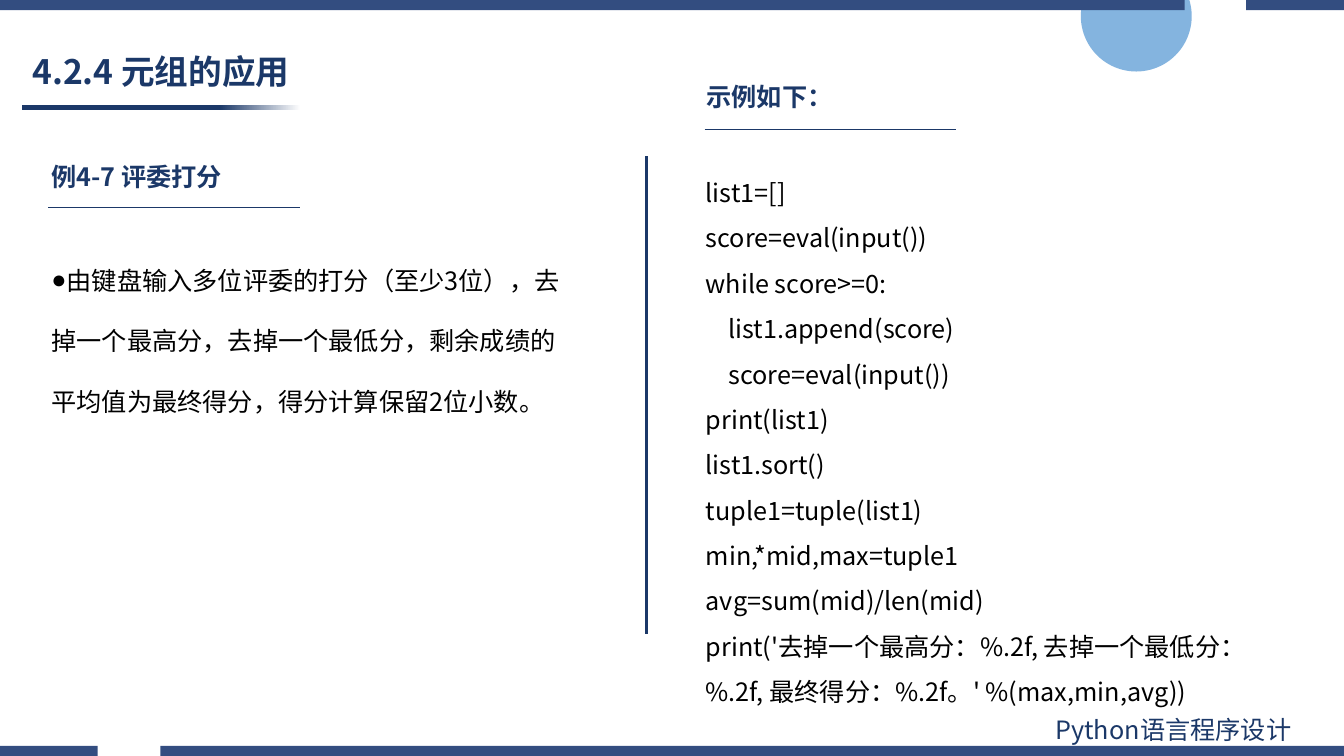
from lxml.etree import SubElement
from pptx import Presentation
from pptx.dml.color import RGBColor
from pptx.enum.shapes import MSO_CONNECTOR, MSO_SHAPE
from pptx.enum.text import MSO_ANCHOR, MSO_AUTO_SIZE, PP_ALIGN
from pptx.oxml.ns import qn
from pptx.util import Inches, Pt

COLORS = {"navy": "1B3868", "bar": "334D80", "sky": "5B9BD5", "black": "000000", "white": "FFFFFF"}
FONT = "Noto Sans CJK SC"
HEADING = {"name": FONT, "size": Pt(18), "bold": True}
PLAIN = {"name": FONT, "size": Pt(18), "bold": False}
TITLE = {"name": FONT, "size": Pt(24), "bold": True}

TASK = ["由键盘输入多位评委的打分（至少3位），去掉一个最高分，去掉一个最低分，剩余成绩的平均值为最终得分，得分计算保留2位小数。"]
CODE = """list1=[]
score=eval(input())
while score>=0:
    list1.append(score)
    score=eval(input())
print(list1)
list1.sort()
tuple1=tuple(list1)
min,*mid,max=tuple1
avg=sum(mid)/len(mid)
print('去掉一个最高分：%.2f, 去掉一个最低分：%.2f, 最终得分：%.2f。' %(max,min,avg))""".split("\n")


def color(key):
    """Return the named colour."""
    return RGBColor.from_string(COLORS[key])


def assign(target, values):
    """Set each attribute of target from a dict."""
    for attribute, value in values.items():
        setattr(target, attribute, value)


class LessonSlide:
    """Hold the lesson style and the slide being built."""

    def __init__(self, deck):
        """Add a slide with a title and two bodies."""
        self.slide = deck.slides.add_slide(deck.slide_layouts[3])
        self.shapes = self.slide.shapes

    def fill_text(self, holder, box, lines, style, ink="navy", spacing=1.0, bullet=None, anchor=MSO_ANCHOR.TOP):
        """Place a text holder and fill in its paragraphs."""
        assign(holder, dict(zip(("left", "top", "width", "height"), map(Inches, box))))
        frame = holder.text_frame
        assign(frame, {"word_wrap": True, "auto_size": MSO_AUTO_SIZE.NONE, "vertical_anchor": anchor})
        for index, line in enumerate(lines):
            paragraph = frame.add_paragraph() if index else frame.paragraphs[0]
            properties = paragraph._p.get_or_add_pPr()
            properties.set("marL", "0")
            properties.set("indent", "0")
            if bullet:
                SubElement(properties, qn("a:buChar")).set("char", bullet)
            else:
                SubElement(properties, qn("a:buNone"))
            assign(paragraph, {"alignment": PP_ALIGN.LEFT, "line_spacing": spacing, "space_before": Pt(0)})
            run = paragraph.add_run()
            run.text = line
            assign(run.font, style)
            run.font.color.rgb = color(ink)
            SubElement(run._r.get_or_add_rPr(), qn("a:ea")).set("typeface", FONT)

    def label(self, box, text, style):
        """Add a one-line text box."""
        self.fill_text(self.shapes.add_textbox(*map(Inches, box)), box, [text], style)

    def rule(self, start, end, weight):
        """Add a straight navy line."""
        line = self.shapes.add_connector(MSO_CONNECTOR.STRAIGHT, *map(Inches, start + end))
        line.line.color.rgb = color("navy")
        line.line.width = Pt(weight)
        SubElement(line._element.spPr, qn("a:effectLst"))

    def bar(self, top, spans):
        """Add an edge bar broken by a gap."""
        bottom = top + 0.1
        builder = None
        for left, right in spans:
            start, *rest = [
                (Inches(x), Inches(y)) for x, y in ((left, top), (right, top), (right, bottom), (left, bottom))
            ]
            if builder is None:
                builder = self.shapes.build_freeform(*start)
            else:
                builder.move_to(*start)
            builder.add_line_segments(rest, close=True)
        self.paint(builder.convert_to_shape(), "bar")

    def paint(self, shape, ink):
        """Give a shape a flat fill without line or shadow."""
        shape.shadow.inherit = False
        shape.line.fill.background()
        shape.fill.solid()
        shape.fill.fore_color.rgb = color(ink)

    def circle(self, box, opacity):
        """Add a translucent circle."""
        circle = self.shapes.add_shape(MSO_SHAPE.OVAL, *map(Inches, box))
        self.paint(circle, "sky")
        tint = circle._element.spPr.find(qn("a:solidFill"))[0]
        SubElement(tint, qn("a:alpha")).set("val", str(opacity * 1000))

    def fading_underline(self, box):
        """Add a bar that fades out to the right."""
        underline = self.shapes.add_shape(MSO_SHAPE.RECTANGLE, *map(Inches, box))
        self.paint(underline, "navy")
        underline.fill.gradient()
        underline.fill.gradient_angle = 0
        for stop, position, ink in zip(underline.fill.gradient_stops, (0.71, 1), ("navy", "white")):
            stop.position = position
            stop.color.rgb = color(ink)


def main():
    """Build and save the lesson slide."""
    deck = Presentation()
    assign(deck, {"slide_width": Inches(13.33), "slide_height": Inches(7.5)})
    lesson = LessonSlide(deck)
    title, task, code = lesson.slide.placeholders

    lesson.circle((10.72, -0.39, 1.1, 1.1), 75)
    lesson.fading_underline((0.22, 1.04, 2.76, 0.05))
    lesson.bar(7.4, [(0, 0.97), (1.59, 13.33)])
    lesson.bar(0, [(0, 11.75), (12.36, 13.33)])
    lesson.label((10.37, 7.04, 2.94, 0.4), "Python语言程序设计", PLAIN)

    lesson.fill_text(title, (0.22, 0.45, 6.04, 0.56), ["4.2.4 元组的应用"], TITLE, spacing=0.9, anchor=MSO_ANCHOR.MIDDLE)
    lesson.rule((6.41, 1.55), (6.41, 6.29), 2)

    lesson.label((0.41, 1.55, 5.88, 0.4), "例4-7 评委打分", HEADING)
    lesson.rule((0.48, 2.06), (2.98, 2.06), 0.5)
    lesson.fill_text(task, (0.41, 2.28, 5.43, 1.83), TASK, PLAIN, "black", 2.0, "●")

    lesson.label((6.91, 0.76, 3.4, 0.4), "示例如下：", HEADING)
    lesson.rule((6.99, 1.28), (9.48, 1.28), 0.5)
    lesson.fill_text(code, (6.9, 1.56, 5.99, 5.55), CODE, PLAIN, "black", 1.5)

    deck.save("out.pptx")


if __name__ == "__main__":
    main()
